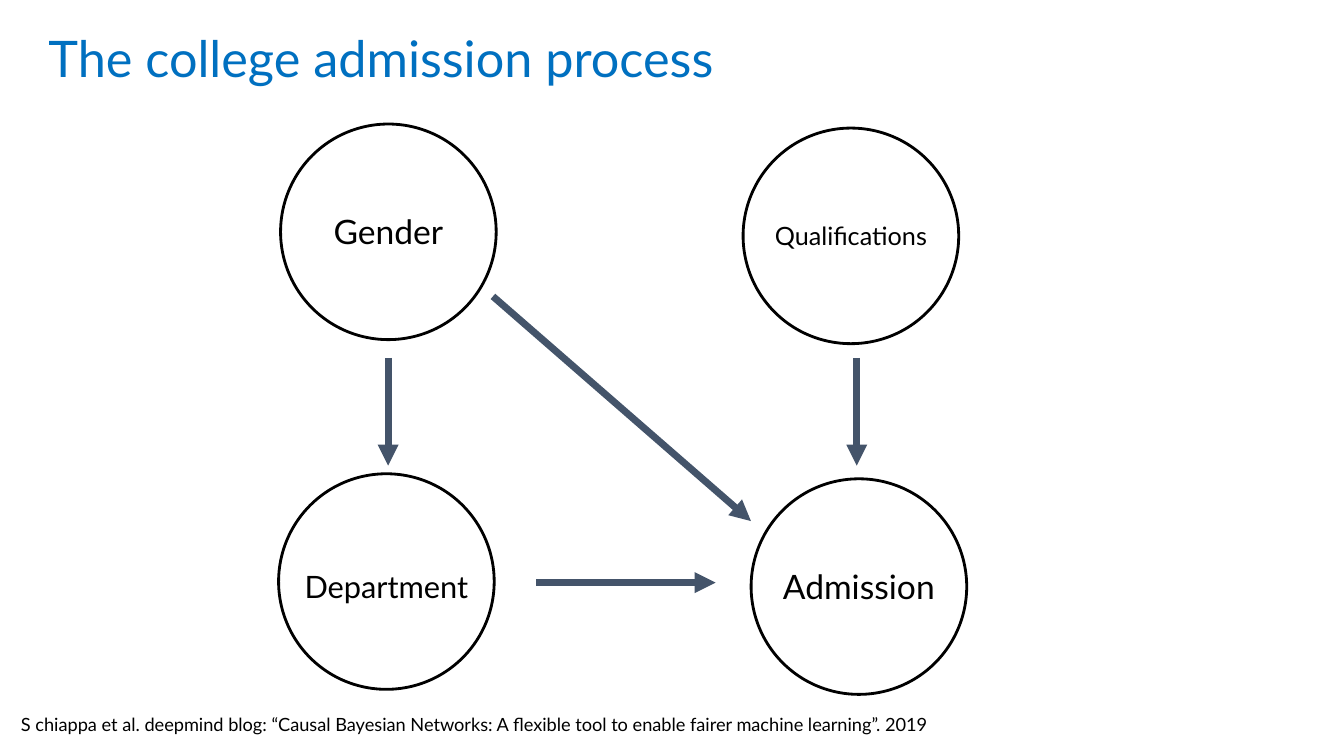
import pptx
import pptx.util
import pptx.dml.color
import pptx.enum.shapes
import pptx.enum.text
import pptx.oxml
import pptx.oxml.ns

Pt = pptx.util.Pt
RGBColor = pptx.dml.color.RGBColor
Align = pptx.enum.text.PP_ALIGN
Anchor = pptx.enum.text.MSO_ANCHOR

BLUE = RGBColor(0x00, 0x70, 0xC0)
BLACK = RGBColor(0x00, 0x00, 0x00)
SLATE = RGBColor(0x44, 0x54, 0x6A)


class Board:
    """Holds the style and the current slide."""
    font = "Lato"
    ring = 154  # diameter of a node

    def __init__(self, deck):
        self.slide = deck.slides.add_slide(deck.slide_layouts[5])
        self.shapes = self.slide.shapes

    def fill_text(self, box, text, size, color, align):
        frame = box.text_frame
        frame.word_wrap = True
        frame.auto_size = pptx.enum.text.MSO_AUTO_SIZE.NONE
        frame.text = text
        para = frame.paragraphs[0]
        para.alignment = align
        font = para.runs[0].font
        font.name, font.size = self.font, Pt(size)
        font.color.rgb = color
        return frame

    def title(self, text, left, top, width, height):
        box = self.shapes.title
        box.left, box.top = Pt(left), Pt(top)
        box.width, box.height = Pt(width), Pt(height)
        frame = self.fill_text(box, text, 36, BLUE, Align.LEFT)
        frame.vertical_anchor = Anchor.MIDDLE
        frame.paragraphs[0].line_spacing = 0.9

    def label(self, text, size, left, top, width, height, align=Align.LEFT):
        box = self.shapes.add_textbox(Pt(left), Pt(top), Pt(width), Pt(height))
        return self.fill_text(box, text, size, BLACK, align)

    def node(self, text, size, mid, top, base, width):
        # Label centred on the ring's axis
        frame = self.label(text, size, mid - width / 2, base, width, 48, Align.CENTER)
        frame.margin_left = frame.margin_right = Pt(9.6)
        frame.margin_top = frame.margin_bottom = Pt(9.6)
        # Open ring
        ring = self.shapes.add_shape(
            pptx.enum.shapes.MSO_SHAPE.OVAL,
            Pt(mid - self.ring / 2), Pt(top), Pt(self.ring), Pt(self.ring))
        ring.shadow.inherit = False
        ring.fill.background()
        ring.line.color.rgb = BLACK
        ring.line.width = Pt(2)

    def arrow(self, x1, y1, x2, y2):
        link = self.shapes.add_connector(
            pptx.enum.shapes.MSO_CONNECTOR.STRAIGHT, Pt(x1), Pt(y1), Pt(x2), Pt(y2))
        link.line.color.rgb = SLATE
        link.line.width = Pt(5)
        # Arrowhead and no shadow
        space = pptx.oxml.ns.nsdecls("a")
        props = link._element.spPr
        head = pptx.oxml.parse_xml(f'<a:tailEnd {space} type="triangle"/>')
        props.find(pptx.oxml.ns.qn("a:ln")).append(head)
        props.append(pptx.oxml.parse_xml(f"<a:effectLst {space}/>"))


def main():
    deck = pptx.Presentation()
    deck.slide_width, deck.slide_height = Pt(960), Pt(540)
    board = Board(deck)
    board.title("The college admission process", 27.4, 13.7, 828, 59.8)

    # Causes and outcome: text, size, axis, ring top, label top, label width
    for node in (
        ("Gender", 24, 277.4, 88.6, 141.1, 142.6),
        ("Department", 22, 276, 338.4, 396, 195),
        ("Qualifications", 18, 607.8, 91.5, 147.6, 222.5),
        ("Admission", 24, 613.5, 342, 394.6, 182.2),
    ):
        board.node(*node)

    # Causal links
    for link in (
        (352.1, 211.7, 536.4, 372.2),
        (277.2, 255.6, 277.2, 332.6),
        (383, 416.2, 511.2, 416.2),
        (612, 255.6, 612, 332.6),
    ):
        board.arrow(*link)

    # Citation
    board.label(
        "S chiappa et al. deepmind blog: “Causal Bayesian Networks: A flexible tool "
        "to enable fairer machine learning”. 2019", 13, 7.9, 506.2, 884, 28.8)
    deck.save("out.pptx")


if __name__ == "__main__":
    main()
